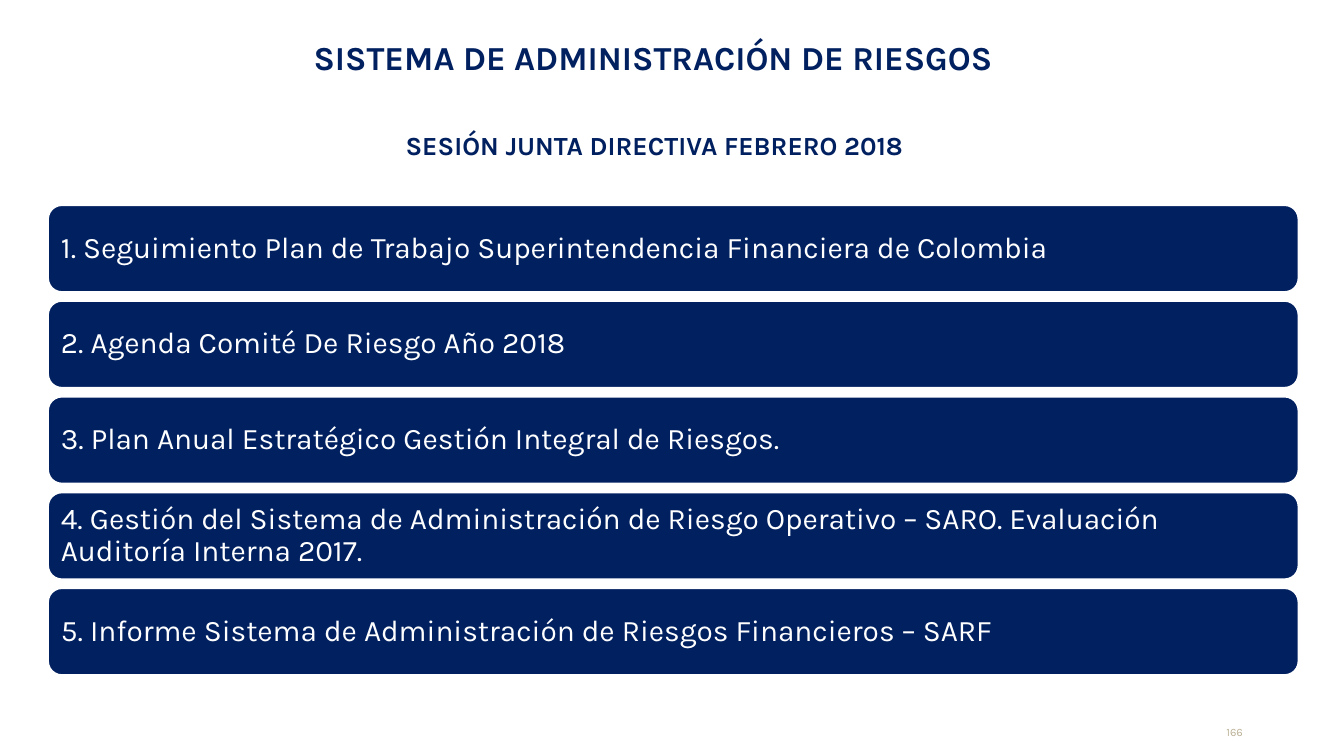
import pptx
import pptx.dml.color
import pptx.enum.shapes
import pptx.enum.text
import pptx.util
from pptx.util import Cm

NAVY = "002060"
WHITE = "FFFFFF"
SAND = "BCB296"
FONT = "Karla"
ALIGN = pptx.enum.text.PP_ALIGN
ANCHOR = pptx.enum.text.MSO_ANCHOR

AGENDA = [
    "Seguimiento Plan de Trabajo Superintendencia Financiera de Colombia",
    "Agenda Comité De Riesgo Año 2018",
    "Plan Anual Estratégico Gestión Integral de Riesgos.",
    "Gestión del Sistema de Administración de Riesgo Operativo – SARO. "
    "Evaluación Auditoría Interna 2017.",
    "Informe Sistema de Administración de Riesgos Financieros – SARF",
]


def color(value):
    """Turn a hex string into a colour."""
    return pptx.dml.color.RGBColor.from_string(value)


def write_text(shape, text, size, fill, align, anchor, inset=0, bold=False, wrap=True):
    """Write one formatted paragraph in a shape and return it."""
    frame = shape.text_frame
    frame.auto_size = pptx.enum.text.MSO_AUTO_SIZE.NONE
    frame.word_wrap = wrap
    frame.vertical_anchor = anchor
    frame.margin_left = frame.margin_right = Cm(inset)
    frame.margin_top = frame.margin_bottom = Cm(inset)
    paragraph = frame.paragraphs[0]
    paragraph.alignment = align
    run = paragraph.add_run()
    run.text = text
    run.font.name = FONT
    run.font.size = pptx.util.Pt(size)
    run.font.bold = bold
    run.font.color.rgb = color(fill)
    return paragraph


def add_title(slide, text):
    """Place and fill the title placeholder."""
    title = slide.shapes.title
    title.left, title.top, title.width, title.height = Cm(3.81), Cm(0.51), Cm(17.07), Cm(1.12)
    write_text(title, text, 18, NAVY, ALIGN.CENTER, ANCHOR.MIDDLE, 0.36, True, False)


def add_subtitle(slide, text):
    """Add the session line below the title."""
    box = slide.shapes.add_textbox(Cm(5.79), Cm(2.44), Cm(13.16), Cm(0.48))
    paragraph = write_text(box, text, 14, NAVY, ALIGN.CENTER, ANCHOR.TOP, bold=True)
    paragraph.line_spacing = pptx.util.Pt(17)


def add_agenda_bar(slide, top, text):
    """Add one rounded agenda bar with its text."""
    bar = slide.shapes.add_shape(
        pptx.enum.shapes.MSO_SHAPE.ROUNDED_RECTANGLE, Cm(0.89), Cm(top), Cm(23.67), Cm(1.68))
    bar.shadow.inherit = False
    bar.fill.solid()
    bar.fill.fore_color.rgb = color(NAVY)
    bar.line.color.rgb = color(WHITE)
    bar.line.width = pptx.util.Pt(2)
    paragraph = write_text(bar, text, 16, WHITE, ALIGN.LEFT, ANCHOR.MIDDLE, 0.18)
    paragraph.line_spacing = 0.9


def add_page_number(slide, number):
    """Add the page number at the bottom right."""
    box = slide.shapes.add_textbox(Cm(22.68), Cm(13.72), Cm(0.81), Cm(0.25))
    write_text(box, number, 6, SAND, ALIGN.RIGHT, ANCHOR.BOTTOM)


def main():
    """Build the agenda slide and save it."""
    presentation = pptx.Presentation()
    presentation.slide_width, presentation.slide_height = Cm(25.4), Cm(14.29)
    slide = presentation.slides.add_slide(presentation.slide_layouts[5])
    add_title(slide, "SISTEMA DE ADMINISTRACIÓN DE RIESGOS")
    add_subtitle(slide, "SESIÓN JUNTA DIRECTIVA FEBRERO 2018")
    for index, topic in enumerate(AGENDA):
        add_agenda_bar(slide, 3.86 + index * 1.81, f"{index + 1}. {topic}")
    add_page_number(slide, "166")
    presentation.save("out.pptx")


if __name__ == "__main__":
    main()
